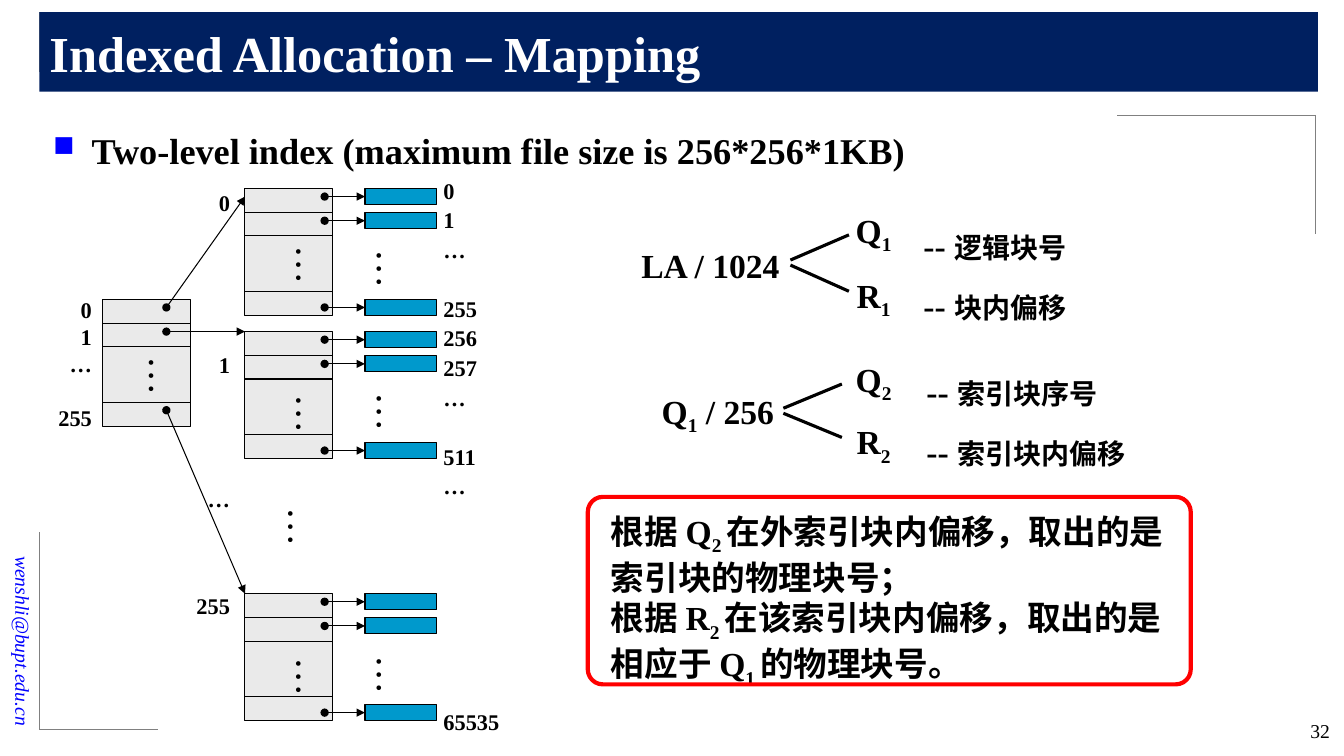
from dataclasses import dataclass

from lxml import etree
from pptx import Presentation
from pptx.dml.color import RGBColor
from pptx.enum.shapes import MSO_CONNECTOR, MSO_SHAPE
from pptx.enum.text import MSO_ANCHOR, MSO_AUTO_SIZE, PP_ALIGN
from pptx.oxml.ns import qn
from pptx.util import Inches, Pt

LEFT, MID, RIGHT = PP_ALIGN.LEFT, PP_ALIGN.CENTER, PP_ALIGN.RIGHT
TOP, CENTER = MSO_ANCHOR.TOP, MSO_ANCHOR.MIDDLE
FIT, FIXED = MSO_AUTO_SIZE.SHAPE_TO_FIT_TEXT, MSO_AUTO_SIZE.NONE
RECT, ROUND = MSO_SHAPE.RECTANGLE, MSO_SHAPE.ROUNDED_RECTANGLE
STRAIGHT = MSO_CONNECTOR.STRAIGHT


@dataclass(frozen=True)
class Theme:
    font: str = "Times New Roman"
    ink: str = "000000"
    white: str = "FFFFFF"
    navy: str = "002060"
    blue: str = "0000FF"
    gray: str = "808080"
    block: str = "EAEAEA"
    data: str = "0099CC"
    red: str = "FF0000"
    title: float = 36
    dots: float = 28
    bullet: float = 25.9
    text: float = 24
    note: float = 20
    label: float = 16
    small: float = 14
    hair: float = 0.5
    thin: float = 0.75
    thick: float = 2.25
    frame: float = 3


def sub(text):
    """A run set as a subscript, at the size of its paragraph."""
    return text, None, True


class Deck:
    def __init__(self, theme):
        self.theme = theme
        self.prs = Presentation()
        self.prs.slide_width, self.prs.slide_height = Inches(13.33), Inches(7.5)
        self.slide = self.prs.slides.add_slide(self.prs.slide_layouts[5])
        self.shapes = self.slide.shapes

    def run(self, para, text, size, color=None, bold=True, italic=False, low=False):
        run = para.add_run()
        run.text = text
        font = run.font
        font.name, font.size, font.bold, font.italic = self.theme.font, Pt(size), bold, italic
        font.color.rgb = RGBColor.from_string(color or self.theme.ink)
        if low:
            font._element.set("baseline", "-25000")

    def title(self, text, x, y, w, h):
        shape = self.shapes.title
        self.shapes._spTree.append(shape._element)
        shape.left, shape.top, shape.width, shape.height = map(Inches, (x, y, w, h))
        shape.fill.solid()
        shape.fill.fore_color.rgb = RGBColor.from_string(self.theme.navy)
        frame = shape.text_frame
        frame.auto_size, frame.vertical_anchor = FIXED, CENTER
        para = frame.paragraphs[0]
        para.alignment = LEFT
        self.run(para, text, self.theme.title, self.theme.white)

    def text(self, paras, x, y, w, h, size=None, align=LEFT, anchor=TOP, wrap=True,
             space=None, **style):
        """Each paragraph is a list of runs: a string, or text, size and subscript flag."""
        box = self.shapes.add_textbox(*map(Inches, (x, y, w, h)))
        frame = box.text_frame
        frame.word_wrap, frame.vertical_anchor = wrap, anchor
        frame.auto_size = FIXED if wrap else FIT
        for i, runs in enumerate(paras):
            para = frame.add_paragraph() if i else frame.paragraphs[0]
            para.alignment = align
            if space:
                para.line_spacing = space
            for part in runs:
                words, own, low = (part, None, False) if isinstance(part, str) else part
                self.run(para, words, own or size or self.theme.text, low=low, **style)
        return box

    def bullet(self, text, x, y, w, h):
        para = self.text([[]], x, y, w, h).text_frame.paragraphs[0]
        props = para._p.get_or_add_pPr()
        props.set("marL", str(Inches(0.38)))
        props.set("indent", str(-Inches(0.38)))
        color = etree.SubElement(props, qn("a:buClr"))
        etree.SubElement(color, qn("a:srgbClr")).set("val", self.theme.blue)
        etree.SubElement(props, qn("a:buSzPct")).set("val", "80000")
        etree.SubElement(props, qn("a:buChar")).set("char", "■")
        self.run(para, text, self.theme.bullet)

    def labels(self, items, x, y, w, h, pitch, align):
        """Stack labels at a fixed pitch; each item is a text and the lines skipped above it."""
        box = self.text([[text] for text, skip in items], x, y, w, h, self.theme.label,
                        align, wrap=False, space=Pt(pitch))
        for para, (text, skip) in zip(box.text_frame.paragraphs, items):
            if skip:
                para.space_before = Pt(round(skip * pitch, 1))

    def dots(self, x, y):
        box = self.text([["…"]], x, y, 0.67, 0.49, self.theme.dots, wrap=False, bold=False)
        box.text_frame._txBody.bodyPr.set("vert", "eaVert")

    def box(self, x, y, w, h, fill=None, line=None, width=None, kind=RECT):
        shape = self.shapes.add_shape(kind, *map(Inches, (x, y, w, h)))
        shape.shadow.inherit = False
        if fill:
            shape.fill.solid()
            shape.fill.fore_color.rgb = RGBColor.from_string(fill)
        else:
            shape.fill.background()
        shape.line.color.rgb = RGBColor.from_string(line or self.theme.ink)
        shape.line.width = Pt(width or self.theme.thin)
        return shape

    def line(self, x1, y1, x2, y2, color=None, width=None, arrow=False):
        link = self.shapes.add_connector(STRAIGHT, *map(Inches, (x1, y1, x2, y2)))
        link.line.color.rgb = RGBColor.from_string(color or self.theme.ink)
        link.line.width = Pt(width or self.theme.thin)
        props = link._element.spPr
        etree.SubElement(props, qn("a:effectLst"))
        if arrow:
            stroke = props.find(qn("a:ln"))
            etree.SubElement(stroke, qn("a:headEnd")).set("type", "oval")
            etree.SubElement(stroke, qn("a:tailEnd")).set("type", "triangle")

    def corner(self, x, y, dx, dy):
        for end in ((x + dx, y), (x, y + dy)):
            self.line(x, y, *end, self.theme.gray, self.theme.hair)

    def index(self, x, y, dot):
        """An index block with its row lines and an ellipsis."""
        self.box(x, y, 0.87, 1.26, self.theme.block)
        for row in (0.24, 0.47, 1.02):
            self.line(x, y + row, x + 0.87, y + row)
        self.dots(x + dot, y + (0.47 if y < 3 else 0.53))

    def data(self, y):
        """The data blocks that one index block points to."""
        for row in (0, 0.24, 1.1):
            self.box(3.62, y + row, 0.71, 0.16, self.theme.data)
            self.line(3.22, y + row + 0.08, 3.62, y + row + 0.08, arrow=True)
        self.dots(3.51, y + 0.51)

    def split(self, x, y, high, low, number, tops):
        """A division that forks into quotient and remainder."""
        for (dy, end), name, top in zip(((-0.02, high), (0.03, low)), "QR", tops):
            self.line(x, y + dy, x + 0.58, end, width=self.theme.thick)
            self.text([[name, sub(number)]], 8.38, top, 0.57, 0.51,
                      align=MID, anchor=CENTER, wrap=False)

    def notes(self, names, x, y, h):
        self.text([["-- ", (name, self.theme.note, False)] for name in names],
                  x, y, 2.4, h, space=1.5)


def main():
    theme = Theme()
    deck = Deck(theme)
    mail = deck.text([["wenshli@bupt.edu.cn"]], -1.09, 5.81, 2.64, 0.34, theme.small, RIGHT,
                     CENTER, color=theme.blue, bold=False, italic=True)
    mail.rotation = 90
    deck.corner(0.39, 0.12, 1.97, 0.59)
    deck.corner(0.39, 7.24, 1.18, -1.96)
    deck.corner(13.05, 1.14, -1.97, 1.18)
    deck.title("Indexed Allocation – Mapping", 0.39, 0.12, 12.68, 0.79)
    deck.bullet("Two-level index (maximum file size is 256*256*1KB)", 0.43, 1.22, 12.6, 0.51)
    deck.text([["32"]], 12.18, 7.08, 1.11, 0.36, theme.small, RIGHT, bold=False)

    deck.index(1.02, 2.97, 0.23)
    for top, row, end in ((1.87, 0.08, 1.95), (3.29, 0.32, 3.29), (5.89, 1.1, 5.89)):
        deck.index(2.43, top, 0.28)
        deck.data(top)
        deck.line(1.65, 2.97 + row, 2.43, end, arrow=True)
    deck.dots(2.63, 4.94)

    deck.labels([("0", 0), ("1", 0), ("…", 0), ("255", 1), ("256", 0), ("257", 0), ("…", 0),
                 ("511", 1), ("…", 0), ("65535", 7)], 4.3, 1.68, 0.76, 5.71, 21.1, LEFT)
    deck.labels([("0", 0), ("1", 5), ("…", 4), ("255", 3)], 1.84, 1.83, 0.54, 4.41, 19.2, RIGHT)
    deck.labels([("0", 0), ("1", 0), ("…", 0), ("255", 1)], 0.47, 2.89, 0.54, 1.45, 19.2, RIGHT)

    deck.text([["LA / 1024"]], 6.22, 2.37, 1.61, 0.51, align=RIGHT, anchor=CENTER)
    deck.split(7.84, 2.6, 2.33, 2.89, "1", (2.05, 2.7))
    deck.notes(("逻辑块号", "块内偏移"), 9.06, 1.98, 1.25)
    deck.text([["Q", sub("1"), " / 256"]], 6.45, 3.85, 1.34, 0.51,
              align=MID, anchor=CENTER, wrap=False)
    deck.split(7.77, 4.07, 3.81, 4.34, "2", (3.53, 4.15))
    deck.notes(("索引块序号", "索引块内偏移"), 9.09, 3.43, 1.35)

    deck.text([["根据 Q", sub("2 "), "在外索引块内偏移，取出的是索引块的物理块号；"],
               ["根据 R", sub("2 "), "在该索引块内偏移，取出的是相应于 Q", sub("1 "),
                "的物理块号。"]], 5.96, 5.02, 5.98, 1.83)
    frame = deck.box(5.83, 4.93, 5.98, 1.86, line=theme.red, width=theme.frame, kind=ROUND)
    frame.adjustments[0] = 0.08
    deck.prs.save("out.pptx")


if __name__ == "__main__":
    main()
